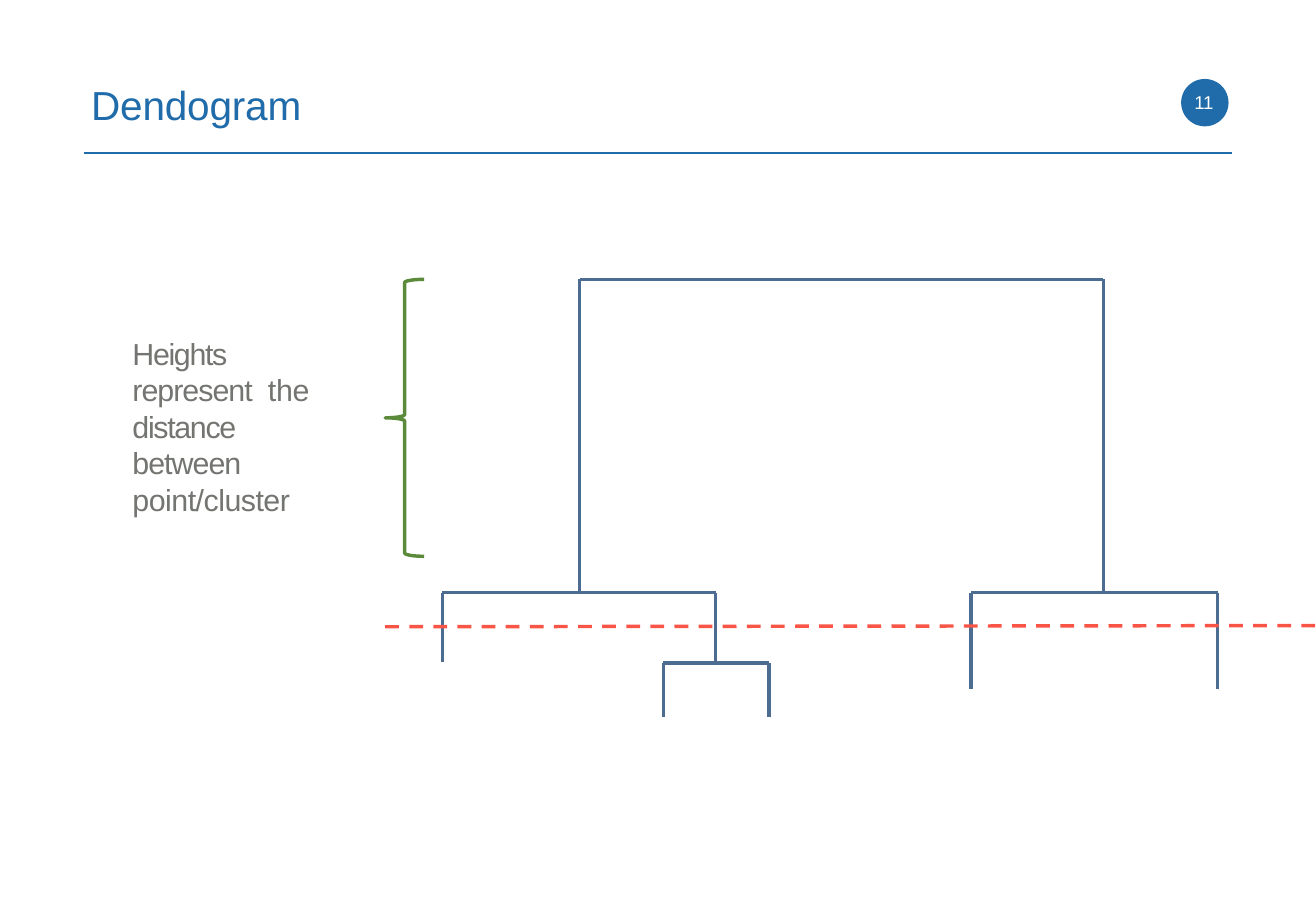
from lxml import etree
from pptx import Presentation
from pptx import util as u
from pptx.dml.color import RGBColor
from pptx.enum import dml, shapes, text
from pptx.oxml.ns import qn

PX = 9144
THEME = {
    "font": "Arial",
    "blue": RGBColor.from_string("206BA9"),
    "branch": RGBColor.from_string("4D6C92"),
    "brace": RGBColor.from_string("5C8A3B"),
    "cut": RGBColor.from_string("F85547"),
    "body": RGBColor.from_string("737571"),
    "white": RGBColor.from_string("FFFFFF"),
    "title_size": 24,
    "body_size": 18,
    "number_size": 11,
    "rule": 1.56,
    "stroke": 2.04,
}

deck = Presentation()
deck.slide_width, deck.slide_height = 1083 * PX, 750 * PX
slide = deck.slides.add_slide(deck.slide_layouts[6])


def write(runs, *, box, size, color, leading=None):
    frame = slide.shapes.add_textbox(*(n * PX for n in box)).text_frame
    frame.word_wrap = True
    frame.vertical_anchor = text.MSO_ANCHOR.TOP
    frame.margin_left = frame.margin_top = frame.margin_right = frame.margin_bottom = 0
    paragraph = frame.paragraphs[0]
    if leading:
        paragraph.line_spacing = u.Pt(leading)
    for words, spacing in runs:
        run = paragraph.add_run()
        run.text = words
        run.font.name = THEME["font"]
        run.font.size = u.Pt(size)
        run.font.color.rgb = color
        run._r.get_or_add_rPr().set("spc", str(round(spacing * 100)))


def draw_line(x1, y1, x2, y2, color, width=THEME["stroke"], dash=None):
    line = slide.shapes.add_connector(
        shapes.MSO_CONNECTOR.STRAIGHT, x1 * PX, y1 * PX, x2 * PX, y2 * PX)
    line.line.color.rgb = color
    line.line.width = u.Pt(width)
    if dash:
        line.line.dash_style = dash
    etree.SubElement(line._element.spPr, qn("a:effectLst"))


badge = slide.shapes.add_shape(
    shapes.MSO_SHAPE.OVAL, 972 * PX, 65 * PX, 39 * PX, 39 * PX)
badge.shadow.inherit = False
badge.fill.solid()
badge.fill.fore_color.rgb = THEME["blue"]
badge.line.fill.background()
draw_line(69, 126, 1014, 126, THEME["blue"], THEME["rule"])

write([("11", -0.1)], box=(983, 75, 20, 21),
      size=THEME["number_size"], color=THEME["white"])
write([("Dendogram", -0.1)], box=(75, 66, 190, 43),
      size=THEME["title_size"], color=THEME["blue"])

forks = [
    (477, 908, 230, 488),
    (799, 1002, 488, 567),
    (364, 589, 488, 545),
    (546, 633, 546, 590),
]
for left, right, top, bottom in forks:
    draw_line(left, top, right, top, THEME["branch"])
    for leg in (left, right):
        draw_line(leg, top, leg, bottom, THEME["branch"])

height_brace = slide.shapes.add_shape(
    shapes.MSO_SHAPE.LEFT_BRACE, 317 * PX, 230 * PX, 32 * PX, 228 * PX)
height_brace.shadow.inherit = False
height_brace.fill.background()
height_brace.line.color.rgb = THEME["brace"]
height_brace.line.width = u.Pt(THEME["stroke"])

write([("Heights ", -0.8), ("represent", -0.6), (" ", 4), ("the ", -0.2),
       ("distance ", -0.8), ("between ", -0.6), ("point/cluster", -0.3)],
      box=(109, 276, 155, 150), size=THEME["body_size"],
      color=THEME["body"], leading=21.6)

draw_line(317, 516, 1083, 515, THEME["cut"], dash=dml.MSO_LINE.DASH)

deck.save("out.pptx")
